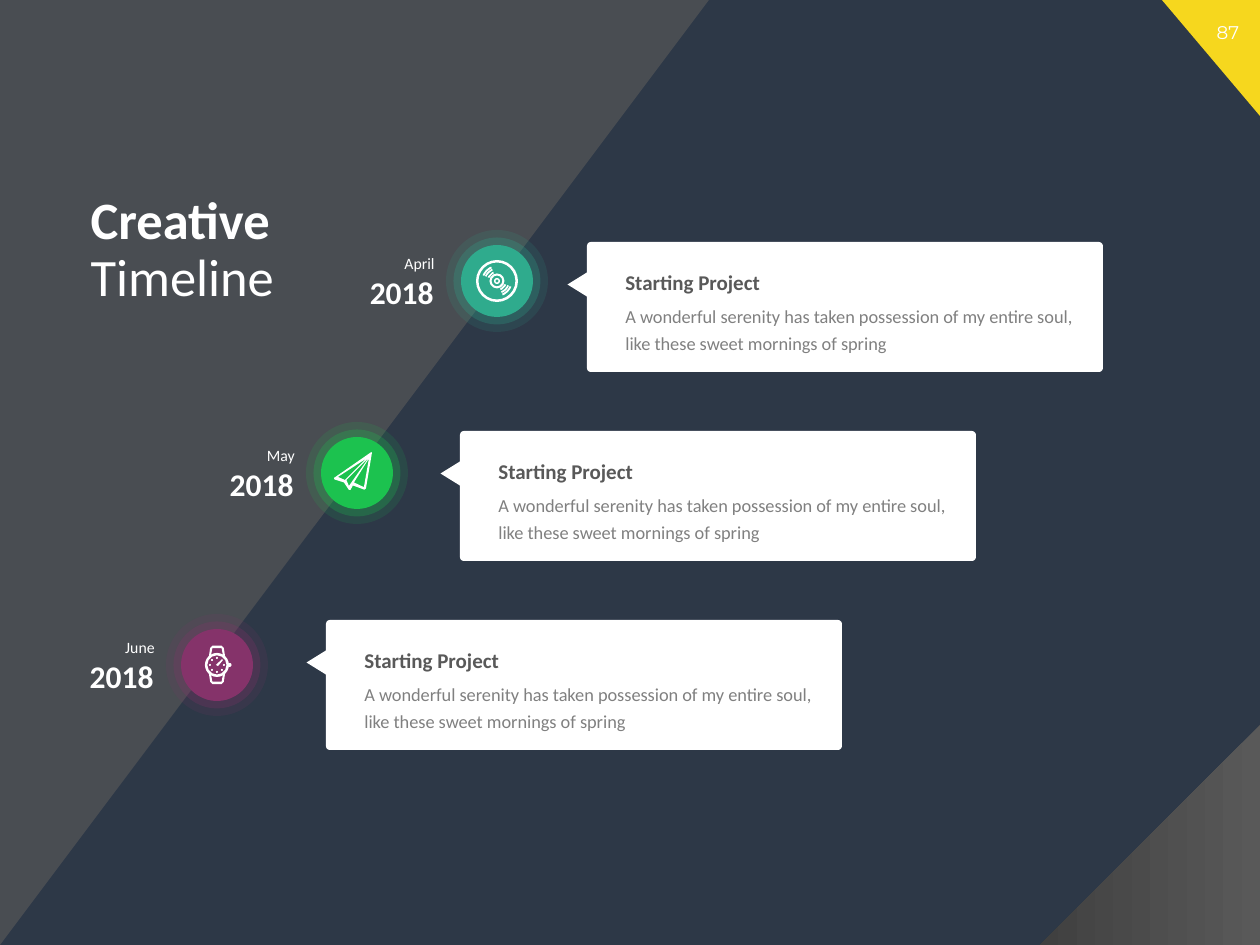
from math import cos, radians, sin

from lxml.etree import SubElement
from pptx import Presentation
from pptx.dml.color import RGBColor
from pptx.enum.shapes import MSO_SHAPE
from pptx.enum.text import MSO_ANCHOR, PP_ALIGN
from pptx.oxml.ns import qn
from pptx.util import Pt

PX = 7257  # EMU per px, 126 px to the inch
COLORS = {
    "navy": "2D3847", "yellow": "F6D71E", "gray": "595959", "dark": "404040",
    "body": "808080", "white": "FFFFFF",
    "teal": "2FAB8D", "green": "1CC24F", "plum": "85336A",
}
RGB = {name: RGBColor.from_string(value) for name, value in COLORS.items()}

PAGE = {"name": "Montserrat", "size": Pt(10.5)}
HEADING = {"name": "Calibri", "size": Pt(12), "bold": True}
BODY = {"name": "Calibri", "size": Pt(10.5)}
YEAR = {"name": "Calibri", "size": Pt(18), "bold": True}
MONTH = {"name": "Calibri", "size": Pt(9)}

presentation = Presentation()
presentation.slide_width = 1260 * PX
presentation.slide_height = 945 * PX
slide = presentation.slides.add_slide(presentation.slide_layouts[5])
slide.background.fill.solid()
slide.background.fill.fore_color.rgb = RGB["navy"]
shapes = slide.shapes


def add_block(kind, box, color, opacity=100, adjust=(), rotation=0):
    """Add a filled preset shape without outline; box is in px."""
    shape = shapes.add_shape(kind, *(round(value * PX) for value in box))
    shape.shadow.inherit = False
    shape.line.fill.background()
    shape.fill.solid()
    shape.fill.fore_color.rgb = RGB[color]
    shape.rotation = rotation
    for index, value in enumerate(adjust):
        shape.adjustments[index] = value
    if opacity < 100:
        color_element = shape.element.spPr.find(f".//{qn('a:srgbClr')}")
        SubElement(color_element, qn("a:alpha")).set("val", str(opacity * 1000))
    return shape


def add_text(box, text, style, color, align=PP_ALIGN.LEFT, spacing=1.0):
    frame = shapes.add_textbox(*(value * PX for value in box)).text_frame
    frame.word_wrap = True
    paragraph = frame.paragraphs[0]
    paragraph.alignment = align
    paragraph.line_spacing = spacing
    run = paragraph.add_run()
    run.text = text
    for name, value in style.items():
        setattr(run.font, name, value)
    run.font.color.rgb = RGB[color]


# Background corners and page number
add_block(MSO_SHAPE.RIGHT_TRIANGLE, (1162, 0, 98, 116), "yellow", rotation=180)
add_text((1196, 15, 64, 35), "87", PAGE, "white", PP_ALIGN.CENTER)
add_block(MSO_SHAPE.RIGHT_TRIANGLE, (-118, 118, 945, 709), "gray", 66, rotation=90)
corner = add_block(MSO_SHAPE.RIGHT_TRIANGLE, (1040, 725, 220, 220), "gray")
corner.element.spPr.find(qn("a:xfrm")).set("flipH", "1")
corner.fill.gradient()
corner.fill.gradient_angle = 0
for stop, color, position in zip(corner.fill.gradient_stops, ("gray", "dark"), (0, 1)):
    stop.color.rgb = RGB[color]
    stop.position = position

# Title, in front of the background
title = shapes.title
shapes.element.append(title.element)
for name, value in zip(("left", "top", "width", "height"), (78, 190, 325, 122)):
    setattr(title, name, value * PX)
title.text_frame.word_wrap = True
title.text_frame.vertical_anchor = MSO_ANCHOR.MIDDLE
paragraph = title.text_frame.paragraphs[0]
paragraph.alignment = PP_ALIGN.LEFT
paragraph.line_spacing = 0.9
for text, bold in (("Creative ", True), ("Timeline", False)):
    run = paragraph.add_run()
    run.text = text
    for name, value in {"name": "Calibri", "size": Pt(30), "bold": bold}.items():
        setattr(run.font, name, value)
    run.font.color.rgb = RGB["white"]

# Icon parts: (kind, offset x, offset y, diameter, adjustments) from the badge centre
disc = [
    (MSO_SHAPE.DONUT, 0, 0, 42, (0.06,)),
    (MSO_SHAPE.DONUT, 0, 0, 15, (0.14,)),
    (MSO_SHAPE.DONUT, 0, 0, 6, (0.25,)),
]
for diameter in (20, 26, 31):
    for start in (22, 202):
        # Angle adjustments count 60000 units to the degree, over 100000
        arc = (start * 0.6, (start + 46) * 0.6, 1.8 / diameter)
        disc.append((MSO_SHAPE.BLOCK_ARC, 0, 0, diameter, arc))
watch = [(MSO_SHAPE.DONUT, 0, 0, 24, (0.1,)), (MSO_SHAPE.OVAL, 12.5, 0, 4, ())]
for angle in range(0, 315, 45):
    dot = (7 * cos(radians(angle)), 7 * sin(radians(angle)))
    watch.append((MSO_SHAPE.OVAL, *dot, 2, ()))

# Icon outlines in tenths of a px from the badge centre, one contour a list
plane = [
    [(145, -210), (-230, 50), (-225, 65), (-130, 95), (-80, 170), (-65, 170),
     (-40, 125), (75, 168), (90, 155), (150, -200)],
    [(70, 142), (-30, 95), (120, -145)],
    [(-105, 70), (120, -155), (-80, 130)],
    [(-190, 40), (95, -145), (-120, 70)],
]
strap = [(-82, -80), (-68, -170), (-45, -192), (45, -192), (68, -170), (82, -80),
         (58, -105), (46, -168), (-46, -168), (-58, -105)]
watch_lines = [strap, [(x, -y) for x, y in strap],
               [(-10, 0), (50, -58), (60, -48), (10, 12)]]

milestones = [
    ("June", "plum", 326, watch, watch_lines),
    ("May", "green", 460, [], plane),
    ("April", "teal", 587, disc, []),
]
for step, (month, color, card_left, parts, contours) in enumerate(milestones):
    card_top = 620 - 189 * step
    center_x, center_y = 217 + 140 * step, 665 - 192 * step

    add_block(MSO_SHAPE.ROUNDED_RECTANGLE, (card_left, card_top, 516, 130), "white",
              adjust=(0.03,))
    add_block(MSO_SHAPE.ISOSCELES_TRIANGLE, (card_left - 22, card_top + 32, 26, 21),
              "white", rotation=270)
    add_text((card_left + 26, card_top + 21, 263, 38), "Starting Project", HEADING, "gray")
    add_text((card_left + 26, card_top + 53, 483, 67),
             "A wonderful serenity has taken possession of my entire soul, "
             "like these sweet mornings of spring", BODY, "body", spacing=1.2)

    add_text((center_x - 215, center_y - 14, 164, 50), "2018", YEAR, "white",
             PP_ALIGN.RIGHT)
    add_text((center_x - 200, center_y - 37, 150, 35), month, MONTH, "white",
             PP_ALIGN.RIGHT, 1.2)

    for diameter, opacity in ((102, 13), (87, 25), (72, 100)):
        box = (center_x - diameter / 2, center_y - diameter / 2, diameter, diameter)
        add_block(MSO_SHAPE.OVAL, box, color, opacity)
    for kind, x, y, diameter, adjust in parts:
        box = (center_x + x - diameter / 2, center_y + y - diameter / 2, diameter, diameter)
        add_block(kind, box, "white", adjust=adjust)
    if contours:
        placed = [[(center_x * 10 + x, center_y * 10 + y) for x, y in contour]
                  for contour in contours]
        builder = shapes.build_freeform(*placed[0][0], scale=PX / 10)
        for contour in placed:
            builder.move_to(*contour[0])
            builder.add_line_segments(contour[1:], close=True)
        icon = builder.convert_to_shape()
        icon.shadow.inherit = False
        icon.line.fill.background()
        icon.fill.solid()
        icon.fill.fore_color.rgb = RGB["white"]

presentation.save("out.pptx")
